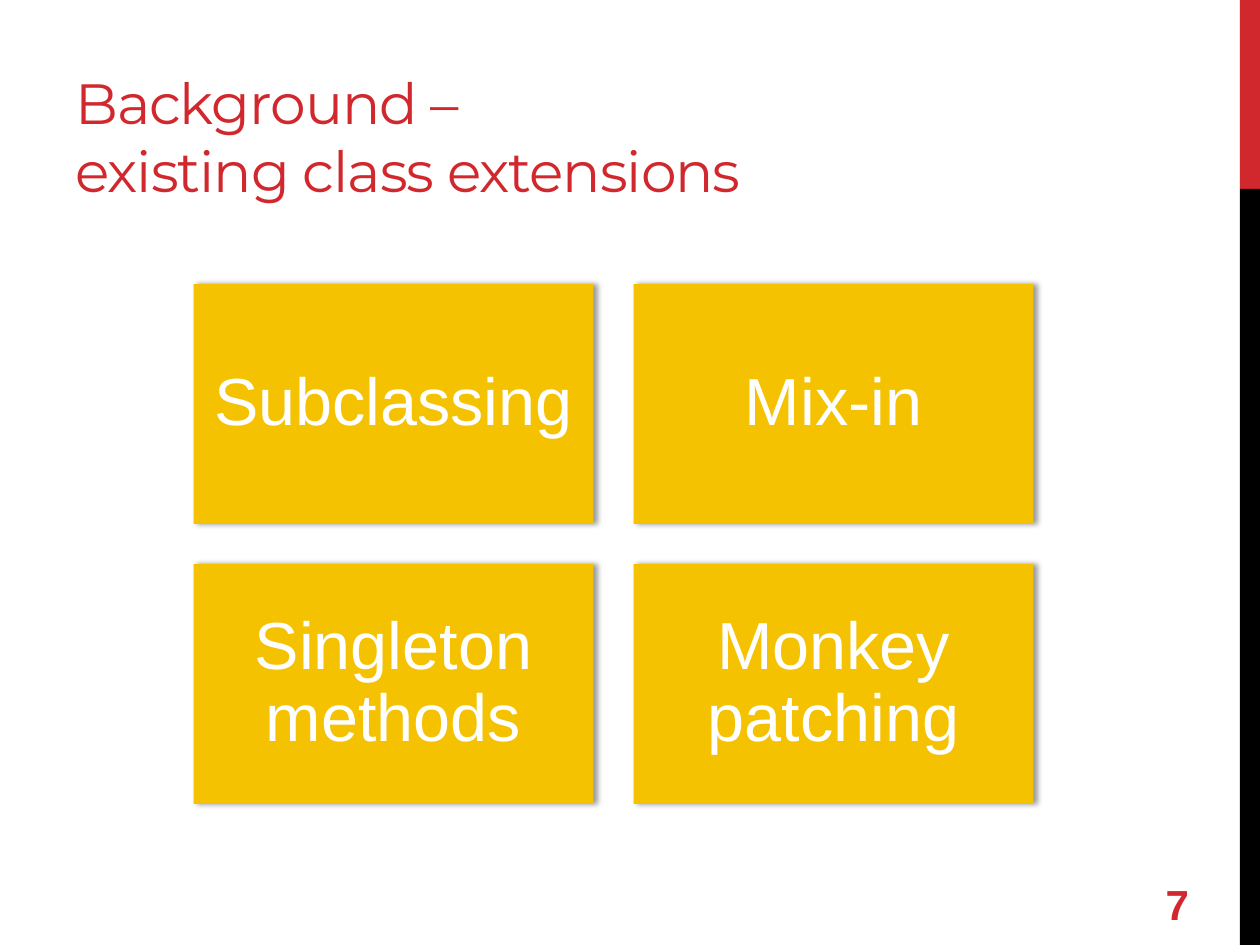
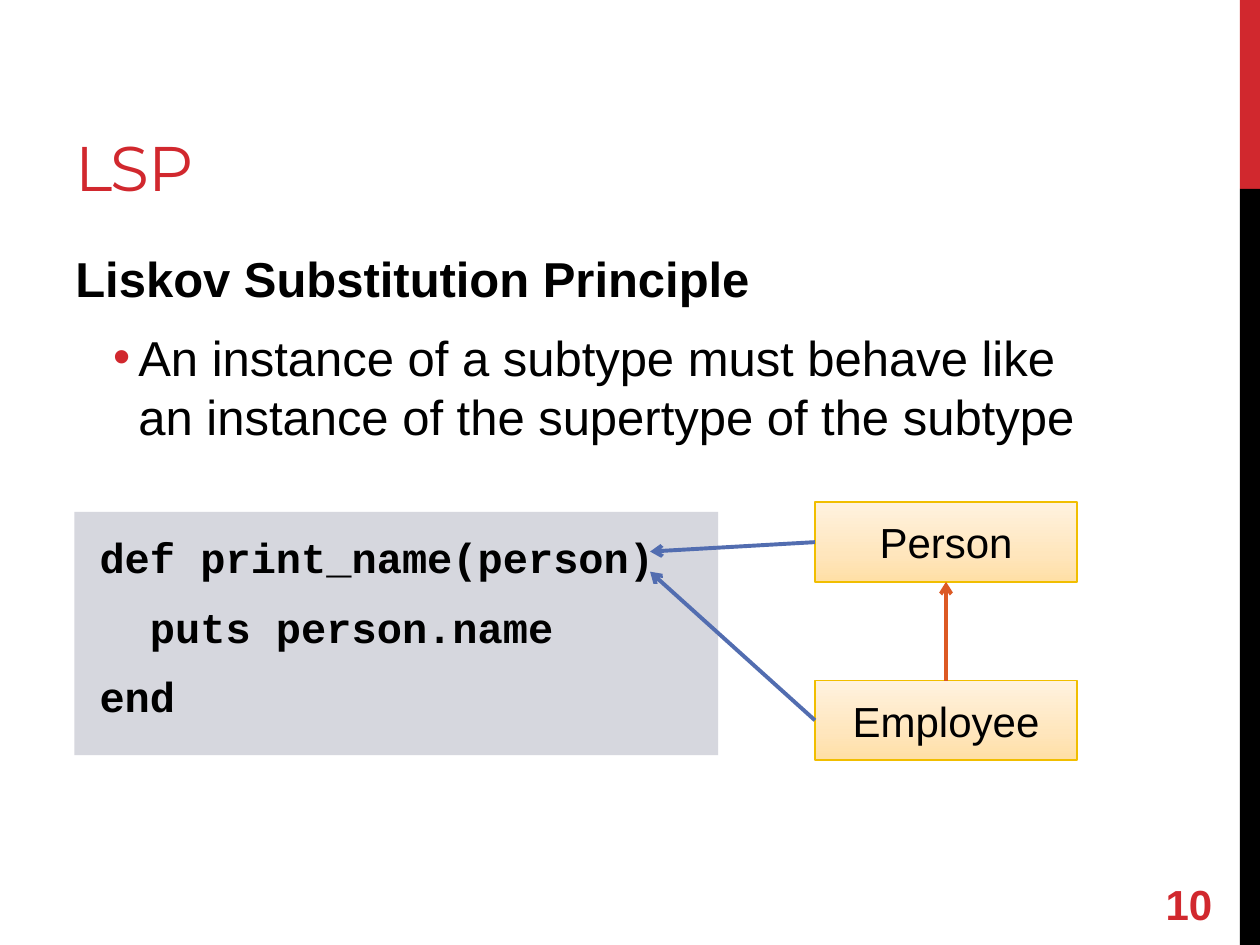
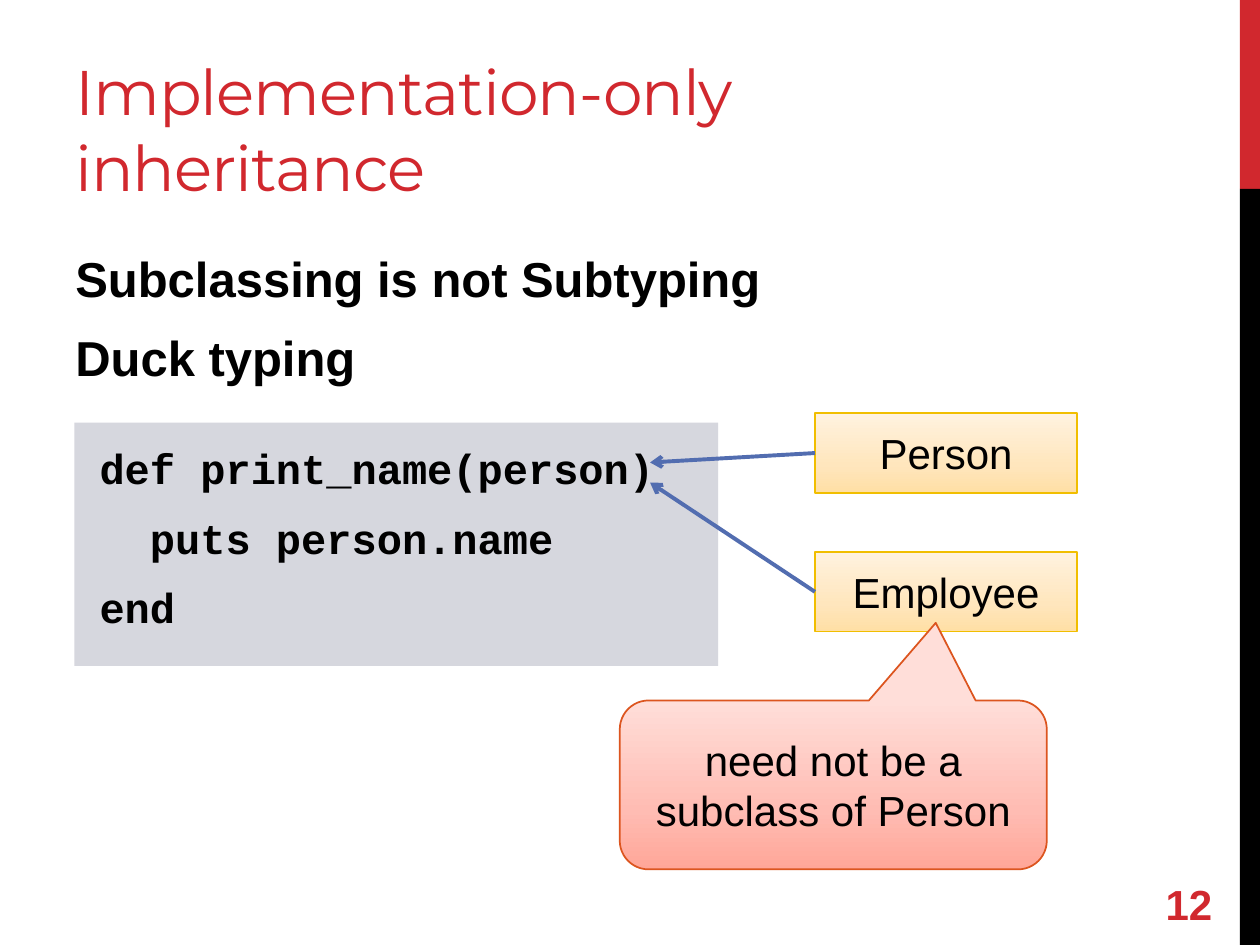
from copy import deepcopy

from lxml import etree
from pptx import Presentation
from pptx import util as u
from pptx.dml.color import RGBColor
from pptx.enum import shapes, text
from pptx.oxml.ns import qn

Pt = u.Pt

RED = RGBColor(0xD1, 0x28, 0x2E)
BLACK = RGBColor(0, 0, 0)
WHITE = RGBColor(0xFF, 0xFF, 0xFF)
GOLD = RGBColor(0xF5, 0xC2, 0x01)
GOLD_EDGE = RGBColor(0xF1, 0xBE, 0x00)
GREY = RGBColor(0xD6, 0xD7, 0xDE)
ORANGE = RGBColor(0xDC, 0x59, 0x24)
CALLOUT_EDGE = RGBColor(0xDC, 0x55, 0x1F)
BLUE = RGBColor(0x52, 0x6D, 0xB0)
CREAM = [RGBColor.from_string(c) for c in ("FFDFA5", "FFE6BD", "FFF2DF")]
PINK = [RGBColor.from_string(c) for c in ("FFA698", "FFBCB3", "FFDED9")]

SLIDE_W, SLIDE_H = 720, 540
BAND_W, BAND_SPLIT = 11.5, 108
CENTER = text.PP_ALIGN.CENTER
MIDDLE = text.MSO_ANCHOR.MIDDLE
RECT = shapes.MSO_SHAPE.RECTANGLE
HEADING = dict(size=28, bold=True, before=5.6, after=6)
CODE = ("def print_name(person)", "  puts person.name", "end")


# Text and shape helpers
def write(holder, words, size=24, font="Arial", color=BLACK, bold=False, align=None,
          before=0, after=0, leading=None, tracking=None, bullet=None):
    """Add one paragraph to a shape or text box."""
    frame = holder.text_frame
    para = frame.add_paragraph() if frame.text else frame.paragraphs[0]
    para.text = words
    para.alignment = align
    para.space_before, para.space_after = Pt(before), Pt(after)
    para.line_spacing = leading
    for run in para.runs:
        run.font.size, run.font.name, run.font.bold = Pt(size), font, bold
        run.font.color.rgb = color
        if tracking:
            run._r.get_or_add_rPr().set("spc", str(round(tracking * 100)))
    if bullet:
        props = para._p.get_or_add_pPr()
        props.set("marL", str(Pt(36)))
        props.set("indent", str(-Pt(14.4)))
        tint = etree.SubElement(props, qn("a:buClr"))
        etree.SubElement(tint, qn("a:srgbClr"), val=str(RED))
        etree.SubElement(props, qn("a:buFont"), typeface="Arial")
        etree.SubElement(props, qn("a:buChar"), char=bullet)


def set_frame(holder, anchor, insets=(7.2, 3.6, 7.2, 3.6)):
    frame = holder.text_frame
    frame.word_wrap = True
    frame.vertical_anchor = anchor
    (frame.margin_left, frame.margin_top,
     frame.margin_right, frame.margin_bottom) = map(Pt, insets)


def add_text_area(slide, box, anchor=text.MSO_ANCHOR.TOP):
    area = slide.shapes.add_textbox(*map(Pt, box))
    set_frame(area, anchor)
    return area


def add_panel(slide, box, fill, edge=None, kind=RECT):
    """Add a shape; a list of colours as fill runs from bottom to top."""
    panel = slide.shapes.add_shape(kind, *map(Pt, box))
    panel.shadow.inherit = False
    if isinstance(fill, list):
        panel.fill.gradient()
        panel.fill.gradient_angle = 90
        stops = panel._element.spPr.find(qn("a:gradFill")).find(qn("a:gsLst"))
        stops.insert(1, deepcopy(stops[0]))
        for stop, color, place in zip(panel.fill.gradient_stops, fill, (0, 0.35, 1)):
            stop.color.rgb, stop.position = color, place
    else:
        panel.fill.solid()
        panel.fill.fore_color.rgb = fill
    if edge is None:
        panel.line.fill.background()
    else:
        panel.line.color.rgb = edge
        panel.line.width = Pt(1)
    set_frame(panel, MIDDLE)
    return panel


def add_arrow(slide, source, source_side, color, target=None, target_side=None, tip=(0, 0)):
    """Draw an arrow from a side of source to a side of target, or to a free tip."""
    x, y = map(Pt, tip)
    arrow = slide.shapes.add_connector(shapes.MSO_CONNECTOR.STRAIGHT, x, y, x, y)
    arrow.begin_connect(source, source_side)
    if target is not None:
        arrow.end_connect(target, target_side)
    arrow.line.color.rgb = color
    arrow.line.width = Pt(2.25)
    props = arrow._element.spPr
    etree.SubElement(props.find(qn("a:ln")), qn("a:tailEnd"), type="arrow")
    etree.SubElement(props, qn("a:effectLst"))


# Parts shared by all slides
def start_slide(deck, title, number, title_size=36):
    slide = deck.slides.add_slide(deck.slide_layouts[6])
    band_left = SLIDE_W - BAND_W
    add_panel(slide, (band_left, 0, BAND_W, BAND_SPLIT), RED)
    add_panel(slide, (band_left, BAND_SPLIT, BAND_W, SLIDE_H - BAND_SPLIT), BLACK)
    heading = add_text_area(slide, (36, 12.24, 456, 108), text.MSO_ANCHOR.BOTTOM)
    write(heading, title, size=title_size, font="Montserrat", color=RED, tracking=-0.6)
    page = add_text_area(slide, (659, 502, 61, 28.8), MIDDLE)
    write(page, number, color=RED, bold=True)
    return slide


def add_body(slide):
    return add_text_area(slide, (36, 138.24, 600, 344))


# Regions
def add_card_grid(slide, box, labels, columns=2, gap=22.9):
    left, top, width, height = box
    rows = len(labels) // columns
    card_w = (width - gap * (columns - 1)) / columns
    card_h = (height - gap * (rows - 1)) / rows
    for index, label in enumerate(labels):
        row, column = divmod(index, columns)
        card = add_panel(slide, (left + column * (card_w + gap),
                                 top + row * (card_h + gap), card_w, card_h), GOLD)
        set_frame(card, MIDDLE, (11, 11, 11, 11))
        write(card, label, size=38, color=WHITE, align=CENTER, leading=0.9)
        # Soft shadow to the right
        effects = card._element.spPr.find(qn("a:effectLst"))
        shadow = etree.SubElement(effects, qn("a:outerShdw"), blurRad=str(Pt(3.1)),
                                  dist=str(Pt(1.8)), dir="0", rotWithShape="0")
        tint = etree.SubElement(shadow, qn("a:srgbClr"), val=str(BLACK))
        etree.SubElement(tint, qn("a:alpha"), val="40000")


def add_code_with_classes(slide, box, employee_drop):
    """Code at the left; Person and Employee at the right, pointing to the parameter."""
    left, top, width, height = box
    code = add_panel(slide, (left, top, 368, height), GREY)
    set_frame(code, text.MSO_ANCHOR.TOP, (14.4, 11.5, 14.4, 5.8))
    for line in CODE:
        write(code, line, font="Courier New", bold=True, align=text.PP_ALIGN.LEFT,
              before=4.8, after=6)

    class_w, class_h = 149.8, 45.4
    classes = []
    for name, drop in (("Person", 0), ("Employee", employee_drop)):
        class_box = add_panel(slide, (left + width - class_w, top - 5.4 + drop,
                                      class_w, class_h), CREAM, GOLD_EDGE)
        write(class_box, name, align=CENTER)
        classes.append(class_box)
    for class_box, tip_drop in zip(classes, (22.7, 34.2)):
        add_arrow(slide, class_box, 1, BLUE, tip=(left + 329, top + tip_drop))
    return classes


def add_callout(slide, box, words):
    callout = add_panel(slide, box, PINK, CALLOUT_EDGE,
                        shapes.MSO_SHAPE.ROUNDED_RECTANGULAR_CALLOUT)
    for index, value in enumerate((0.24, -0.96, 0.17)):
        callout.adjustments[index] = value
    write(callout, words, align=CENTER)


# Slides
def build_extensions(deck):
    slide = start_slide(deck, "Background –\nexisting class extensions", "7", 32.4)
    add_card_grid(slide, (110.6, 162.4, 480, 297),
                  ("Subclassing", "Mix-in", "Singleton methods", "Monkey patching"))


def build_lsp(deck):
    slide = start_slide(deck, "LSP", "10")
    body = add_body(slide)
    write(body, "Liskov Substitution Principle", **HEADING)
    write(body, "An instance of a subtype must behave like an instance of the "
                "supertype of the subtype", size=28, before=5.6, bullet="•")
    person, employee = add_code_with_classes(slide, (42.5, 292.5, 573, 139), 101.8)
    add_arrow(slide, employee, 0, ORANGE, target=person, target_side=2)


def build_inheritance(deck):
    slide = start_slide(deck, "Implementation-only inheritance", "12")
    body = add_body(slide)
    for line in ("Subclassing is not Subtyping", "Duck typing"):
        write(body, line, **HEADING)
    add_code_with_classes(slide, (42.5, 241.6, 573, 139), 79.3)
    add_callout(slide, (354.2, 400.3, 244, 96.5), "need not be a subclass of Person")


def main():
    deck = Presentation()
    deck.slide_width, deck.slide_height = Pt(SLIDE_W), Pt(SLIDE_H)
    build_extensions(deck)
    build_lsp(deck)
    build_inheritance(deck)
    deck.save("out.pptx")


if __name__ == "__main__":
    main()
